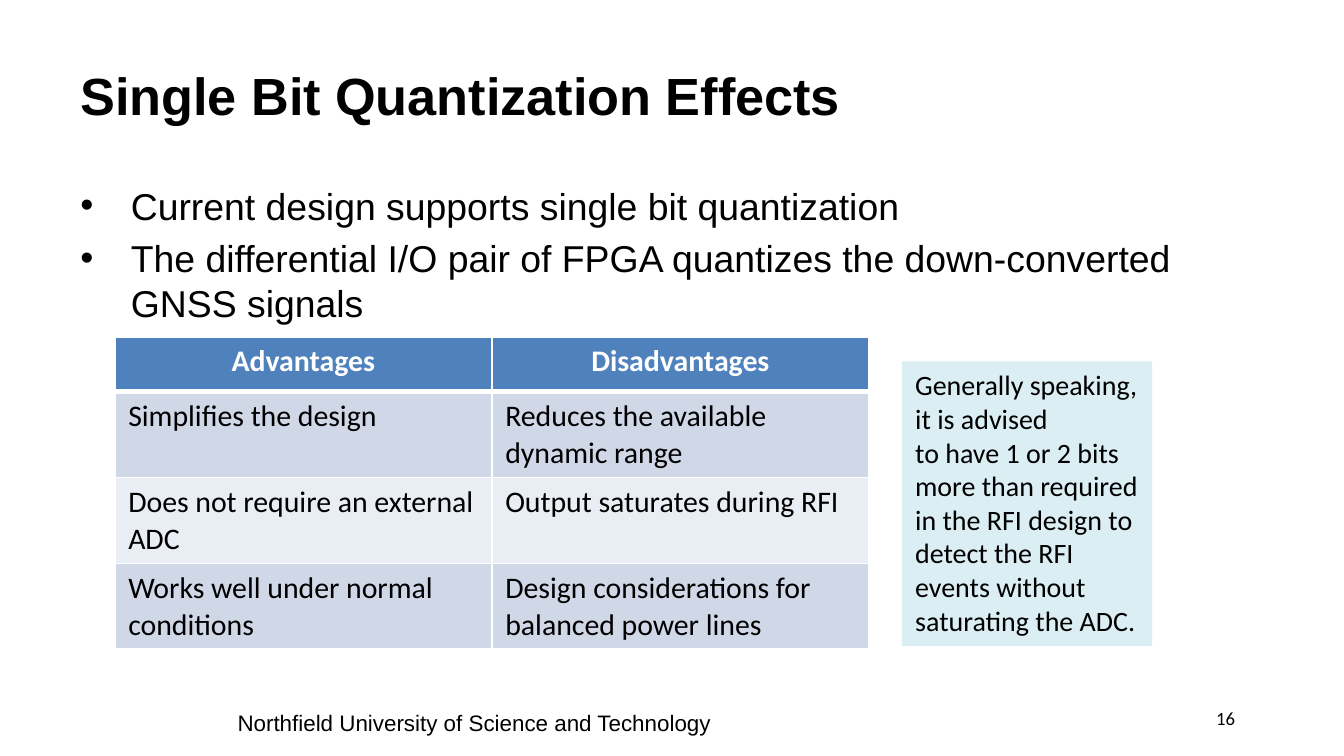
from lxml import etree
from pptx import Presentation
from pptx.dml.color import RGBColor
from pptx.enum.shapes import MSO_SHAPE
from pptx.enum.text import MSO_ANCHOR, PP_ALIGN
from pptx.oxml.ns import qn
from pptx.util import Pt

LEFT, CENTER = PP_ALIGN.LEFT, PP_ALIGN.CENTER
TOP, MIDDLE = MSO_ANCHOR.TOP, MSO_ANCHOR.MIDDLE
RECTANGLE = MSO_SHAPE.RECTANGLE

# Content
TITLE = "Single Bit Quantization Effects"
BULLETS = [
    "Current design supports single bit quantization",
    "The differential I/O pair of FPGA quantizes the down-converted GNSS signals",
]
TABLE_ROWS = [
    (["Advantages"], ["Disadvantages"]),
    (["Simplifies the design"], ["Reduces the available dynamic range"]),
    (["Does not require an external ADC"], ["Output saturates during RFI"]),
    (["Works well under normal", "conditions"],
     ["Design considerations for balanced power lines"]),
]
NOTE = [
    "Generally speaking, it is advised",
    "to have 1 or 2 bits more than required in the RFI design to detect "
    "the RFI events without saturating the ADC.",
]
FOOTER = "Northfield University of Science and Technology"
PAGE_NUMBER = "16"

# Style and layout, in points
COLORS = {
    "text": "000000", "white": "FFFFFF", "header": "4F81BD",
    "band_dark": "D0D8E8", "band_light": "E9EDF4", "note": "DBEEF4",
}
PAGE_SIZE = (720, 405)
TITLE_BOX = (36, 16.6, 648, 67.7)
BODY_BOX = (36, 94.3, 604, 267)
TABLE_LEFT, TABLE_TOP, COLUMN_WIDTH = 61.5, 180.4, 202
HEADER_HEIGHT, ROW_HEIGHT = 29.5, 46
NOTE_BOX = (483.2, 193.6, 134, 152.6)
FOOTER_BOX = (120.2, 376.6, 304, 21.6)
NUMBER_BOX = (644.4, 375.1, 39.6, 21.6)
BULLET_INDENT = 27


def color(name):
    return RGBColor.from_string(COLORS[name])


def write(frame, lines, size, font="Calibri", ink="text", bold=False,
          align=LEFT, anchor=TOP, bullet=False):
    frame.word_wrap = True
    frame.vertical_anchor = anchor
    for index, line in enumerate(lines):
        para = frame.paragraphs[0] if index == 0 else frame.add_paragraph()
        para.alignment = align
        if bullet:
            para.space_before = Pt(size * 0.2)
            properties = para._p.get_or_add_pPr()
            properties.set("marL", str(Pt(BULLET_INDENT)))
            properties.set("indent", str(-Pt(BULLET_INDENT)))
            etree.SubElement(properties, qn("a:buFont"), typeface="Arial")
            etree.SubElement(properties, qn("a:buChar"), char="•")
        span = para.add_run()
        span.text = line
        span.font.name, span.font.size, span.font.bold = font, Pt(size), bold
        span.font.color.rgb = color(ink)


def add_text(page, place, lines, size, **style):
    box = page.shapes.add_textbox(*map(Pt, place))
    write(box.text_frame, lines, size, **style)


def set_borders(cell, **widths):
    properties = cell._tc.get_or_add_tcPr()
    for side in "LRTB":
        line = etree.SubElement(properties, qn("a:ln" + side),
                                w=str(Pt(widths.get(side, 1))))
        fill = etree.SubElement(line, qn("a:solidFill"))
        etree.SubElement(fill, qn("a:srgbClr"), val=COLORS["white"])


def add_comparison(page):
    heights = [HEADER_HEIGHT] + [ROW_HEIGHT] * (len(TABLE_ROWS) - 1)
    columns = len(TABLE_ROWS[0])
    table = page.shapes.add_table(
        len(heights), columns, Pt(TABLE_LEFT), Pt(TABLE_TOP),
        Pt(COLUMN_WIDTH * columns), Pt(sum(heights))).table
    for column in table.columns:
        column.width = Pt(COLUMN_WIDTH)
    for row, (height, texts) in enumerate(zip(heights, TABLE_ROWS)):
        table.rows[row].height = Pt(height)
        header = row == 0
        band = "header" if header else "band_dark" if row % 2 else "band_light"
        for column, lines in enumerate(texts):
            cell = table.cell(row, column)
            # A thicker rule separates the header from the rows
            set_borders(cell, B=3 if header else 1, T=3 if row == 1 else 1)
            cell.fill.solid()
            cell.fill.fore_color.rgb = color(band)
            write(cell.text_frame, lines, 16, bold=header,
                  ink="white" if header else "text",
                  align=CENTER if header else LEFT)


def add_note(page):
    box = page.shapes.add_shape(RECTANGLE, *map(Pt, NOTE_BOX))
    box.shadow.inherit = False
    box.fill.solid()
    box.fill.fore_color.rgb = color("note")
    box.line.fill.background()
    write(box.text_frame, NOTE, 15)


def main():
    deck = Presentation()
    deck.slide_width, deck.slide_height = map(Pt, PAGE_SIZE)
    page = deck.slides.add_slide(deck.slide_layouts[6])

    # Footer, title and page number
    add_text(page, FOOTER_BOX, [FOOTER], 12, font="Arial")
    add_text(page, TITLE_BOX, [TITLE], 28, font="Arial", bold=True, anchor=MIDDLE)
    add_text(page, NUMBER_BOX, [PAGE_NUMBER], 10)

    # Bullets, table and side note
    add_text(page, BODY_BOX, BULLETS, 20, font="Arial", bullet=True)
    add_comparison(page)
    add_note(page)
    deck.save("out.pptx")


if __name__ == "__main__":
    main()
